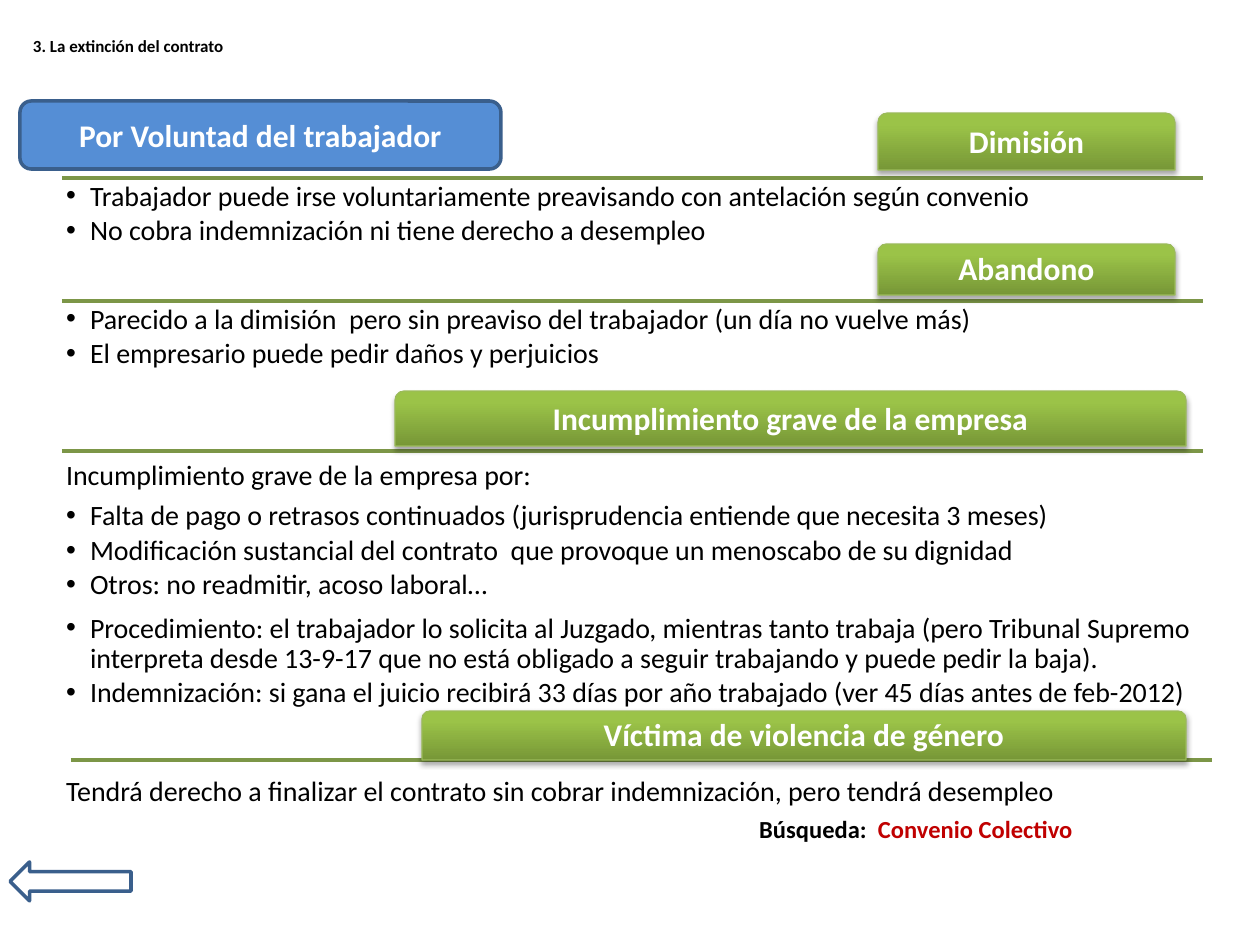
import pptx
import pptx.util
import pptx.dml.color
import pptx.enum.shapes
import pptx.enum.text
import pptx.oxml
import pptx.oxml.ns

PX = 914400 // 126
Pt = pptx.util.Pt
Kind = pptx.enum.shapes.MSO_SHAPE
Align = pptx.enum.text.PP_ALIGN
Anchor = pptx.enum.text.MSO_ANCHOR
NS = pptx.oxml.ns.nsdecls("a")
HEX = {"black": "000000", "white": "FFFFFF", "red": "C00000", "blue": "558ED5", "navy": "3A5F8C",
       "rule": "7C9647", "edge": "9BBB59", "dark": "779737", "lime": "9BC348"}
RGB = {name: pptx.dml.color.RGBColor.from_string(code) for name, code in HEX.items()}


def place(shape, box):
    shape.left, shape.top, shape.width, shape.height = [n * PX for n in box]


def style(shape, size, color, bold, align, pad, anchor):
    frame = shape.text_frame
    frame.word_wrap = True
    frame.auto_size = pptx.enum.text.MSO_AUTO_SIZE.NONE
    frame.vertical_anchor = anchor
    frame.margin_left = frame.margin_right = pad[0] * PX
    frame.margin_top = frame.margin_bottom = pad[1] * PX
    for para in frame.paragraphs:
        para.alignment = align
        for run in para.runs:
            run.font.name = "Calibri"
            run.font.size = Pt(size)
            run.font.bold = bold
            run.font.color.rgb = RGB[color]


deck = pptx.Presentation()
deck.slide_width = 1260 * PX
deck.slide_height = 945 * PX
slide = deck.slides.add_slide(deck.slide_layouts.get_by_name("Comparison"))
shapes = slide.shapes

# Title
title = shapes.title
place(title, (20, 6, 1134, 80))
title.text_frame.text = "3. La extinción del contrato"
style(title, 9.7, "black", True, Align.LEFT, (13, 6), Anchor.MIDDLE)

# Rules under the headings
for left, top in [(62, 178), (62, 301), (62, 451), (71, 760)]:
    rule = shapes.add_connector(pptx.enum.shapes.MSO_CONNECTOR.STRAIGHT,
                                left * PX, top * PX, (left + 1141) * PX, top * PX)
    rule.line.color.rgb = RGB["rule"]
    rule.line.width = Pt(2)
    rule._element.spPr.append(pptx.oxml.parse_xml(f"<a:effectLst {NS}/>"))

# Lists: box, anchor, plain lead line, bulleted lines
lists = [
    ((62, 178, 1141, 149), Anchor.TOP, [], [
        "Trabajador puede irse voluntariamente preavisando con antelación según convenio",
        "No cobra indemnización ni tiene derecho a desempleo"]),
    ((62, 301, 1141, 149), Anchor.TOP, [], [
        "Parecido a la dimisión  pero sin preaviso del trabajador (un día no vuelve más)",
        "El empresario puede pedir daños y perjuicios"]),
    ((62, 451, 1141, 154), Anchor.BOTTOM, ["Incumplimiento grave de la empresa por:"], [
        "Falta de pago o retrasos continuados (jurisprudencia entiende que necesita 3 meses)",
        "Modificación sustancial del contrato  que provoque un menoscabo de su dignidad",
        "Otros: no readmitir, acoso laboral…"]),
    ((62, 610, 1141, 39), Anchor.TOP, [], [
        "Procedimiento: el trabajador lo solicita al Juzgado, mientras tanto trabaja (pero Tribunal "
        "Supremo interpreta desde 13-9-17 que no está obligado a seguir trabajando y puede pedir la baja).",
        "Indemnización: si gana el juicio recibirá 33 días por año trabajado (ver 45 días antes de feb-2012)"]),
    ((62, 738, 1141, 74), Anchor.BOTTOM, [
        "Tendrá derecho a finalizar el contrato sin cobrar indemnización, pero tendrá desempleo"], []),
]
bodies = [item for item in slide.placeholders if item.placeholder_format.idx in (1, 2, 3, 4)]
bodies.append(shapes.add_textbox(0, 0, PX, PX))
for body, (box, anchor, lead, items) in zip(bodies, lists):
    place(body, box)
    body.text_frame.text = "\n".join(lead + items)
    style(body, 16, "black", False, Align.LEFT, (4, 4), anchor)
    for n, para in enumerate(body.text_frame.paragraphs):
        plain = n < len(lead)
        para.line_spacing = 0.9
        para.space_before = Pt(0)
        para.space_after = Pt(5.6 if plain else 2.4)
        props = para._p.get_or_add_pPr()
        props.set("marL", str(0 if plain else 24 * PX))
        props.set("indent", str(0 if plain else -24 * PX))
        marks = ["<a:buNone {}/>"] if plain else [
            '<a:buFont {} typeface="Arial"/>', '<a:buChar {} char="•"/>']
        for mark in marks:
            props.append(pptx.oxml.parse_xml(mark.format(NS)))

# Green heading tabs
SHADOW = (f'<a:effectLst {NS}><a:outerShdw blurRad="{Pt(3.1)}" dist="{Pt(1.8)}" dir="5400000" '
          'rotWithShape="0"><a:srgbClr val="000000"><a:alpha val="35000"/></a:srgbClr>'
          '</a:outerShdw></a:effectLst>')
tabs = [
    ("Dimisión", (878, 113, 297, 57)),
    ("Abandono", (878, 244, 297, 51)),
    ("Incumplimiento grave de la empresa", (395, 391, 791, 55)),
    ("Víctima de violencia de género", (422, 711, 764, 49)),
]
for text, box in tabs:
    tab = shapes.add_shape(Kind.ROUND_2_SAME_RECTANGLE, 0, 0, PX, PX)
    place(tab, box)
    tab.fill.gradient()
    tab.fill.gradient_angle = 90
    for stop, color, spot in zip(tab.fill.gradient_stops, ("dark", "lime"), (0, 0.8)):
        stop.color.rgb = RGB[color]
        stop.position = spot
    tab.line.color.rgb = RGB["edge"]
    tab.line.width = Pt(0.75)
    tab._element.spPr.append(pptx.oxml.parse_xml(SHADOW))
    tab.text_frame.text = text
    style(tab, 18, "white", True, Align.CENTER, (5, 5), Anchor.MIDDLE)
    tab.text_frame.paragraphs[0].line_spacing = 0.9

# Blue topic box and back arrow
topic = shapes.add_shape(Kind.ROUNDED_RECTANGLE, 20 * PX, 101 * PX, 481 * PX, 68 * PX)
topic.fill.solid()
topic.fill.fore_color.rgb = RGB["blue"]
topic.text_frame.text = "Por Voluntad del trabajador"
style(topic, 18, "white", True, Align.CENTER, (13, 6), Anchor.MIDDLE)
back = shapes.add_shape(Kind.LEFT_ARROW, 10 * PX, 862 * PX, 121 * PX, 39 * PX)
back.fill.background()
for shape in (topic, back):
    shape.shadow.inherit = False
    shape.line.color.rgb = RGB["navy"]
    shape.line.width = Pt(2)

# Search note
note = shapes.add_textbox(683 * PX, 808 * PX, 466 * PX, 42 * PX)
para = note.text_frame.paragraphs[0]
para.text = "Búsqueda:  "
term = para.add_run()
term.text = "Convenio Colectivo"
style(note, 14, "black", True, Align.CENTER, (13, 6), Anchor.TOP)
term.font.color.rgb = RGB["red"]

deck.save("out.pptx")
